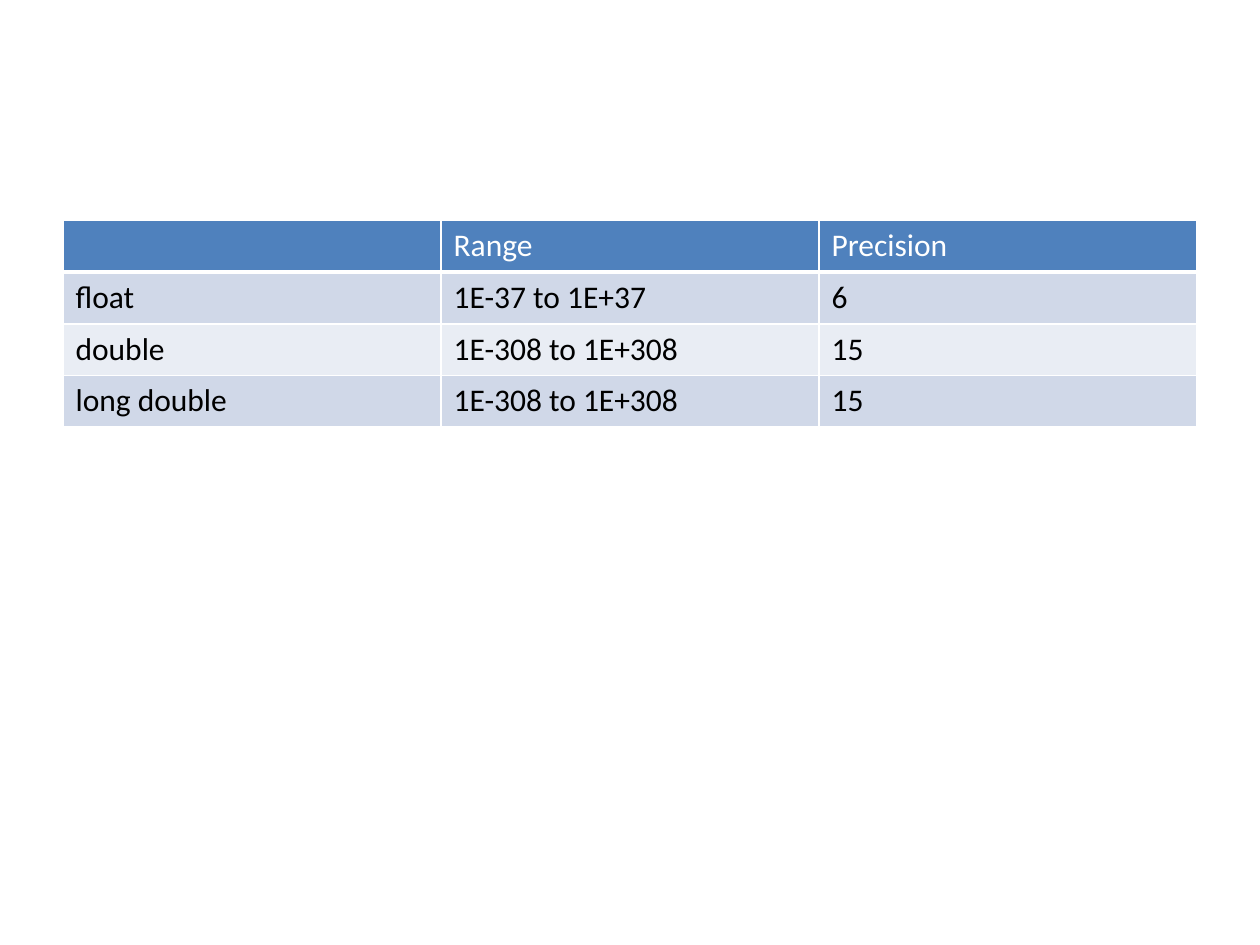
import pptx
import pptx.util
import pptx.dml.color
import lxml.etree
import pptx.oxml.ns

Inches = pptx.util.Inches
RGB = pptx.dml.color.RGBColor
WHITE = RGB(0xFF, 0xFF, 0xFF)
BLACK = RGB(0, 0, 0)
BLUE = RGB(0x4F, 0x81, 0xBD)
BANDS = [RGB(0xD0, 0xD8, 0xE8), RGB(0xE9, 0xED, 0xF4)]

ROWS = [
    ["", "Range", "Precision"],
    ["float", "1E-37 to 1E+37", "6"],
    ["double", "1E-308 to 1E+308", "15"],
    ["long double", "1E-308 to 1E+308", "15"],
]


class Deck:
    """Holds the text style and the current slide."""
    font = "Calibri"
    size = pptx.util.Pt(18)

    def __init__(self, slide):
        self.slide = slide

    def edge(self, cell, side, width):
        props = cell._tc.get_or_add_tcPr()
        name = pptx.oxml.ns.qn
        line = lxml.etree.SubElement(props, name("a:ln" + side))
        line.set("w", str(pptx.util.Pt(width)))
        fill = lxml.etree.SubElement(line, name("a:solidFill"))
        lxml.etree.SubElement(fill, name("a:srgbClr")).set("val", str(WHITE))

    def cell(self, cell, text, fill, ink, base):
        # Borders come before the fill in the cell properties
        for side, width in zip("LRTB", (1, 1, 1, base)):
            self.edge(cell, side, width)
        cell.fill.solid()
        cell.fill.fore_color.rgb = fill
        if text:
            run = cell.text_frame.paragraphs[0].add_run()
            run.text = text
            run.font.name = self.font
            run.font.size = self.size
            run.font.bold = False
            run.font.color.rgb = ink

    def table(self, rows, left, top, width, high):
        frame = self.slide.shapes.add_table(
            len(rows), len(rows[0]), left, top, width, high * len(rows))
        grid = frame.table
        for r, row in enumerate(rows):
            head = r == 0
            fill = BLUE if head else BANDS[(r - 1) % 2]
            ink = WHITE if head else BLACK
            for c, text in enumerate(row):
                self.cell(grid.cell(r, c), text, fill, ink, 3 if head else 1)


# Slide
show = pptx.Presentation()
show.slide_width = Inches(10)
show.slide_height = Inches(7.5)
deck = Deck(show.slides.add_slide(show.slide_layouts[6]))

# Table of floating-point types
deck.table(ROWS, Inches(0.5), Inches(1.75), Inches(9), Inches(0.41))

show.save("out.pptx")
